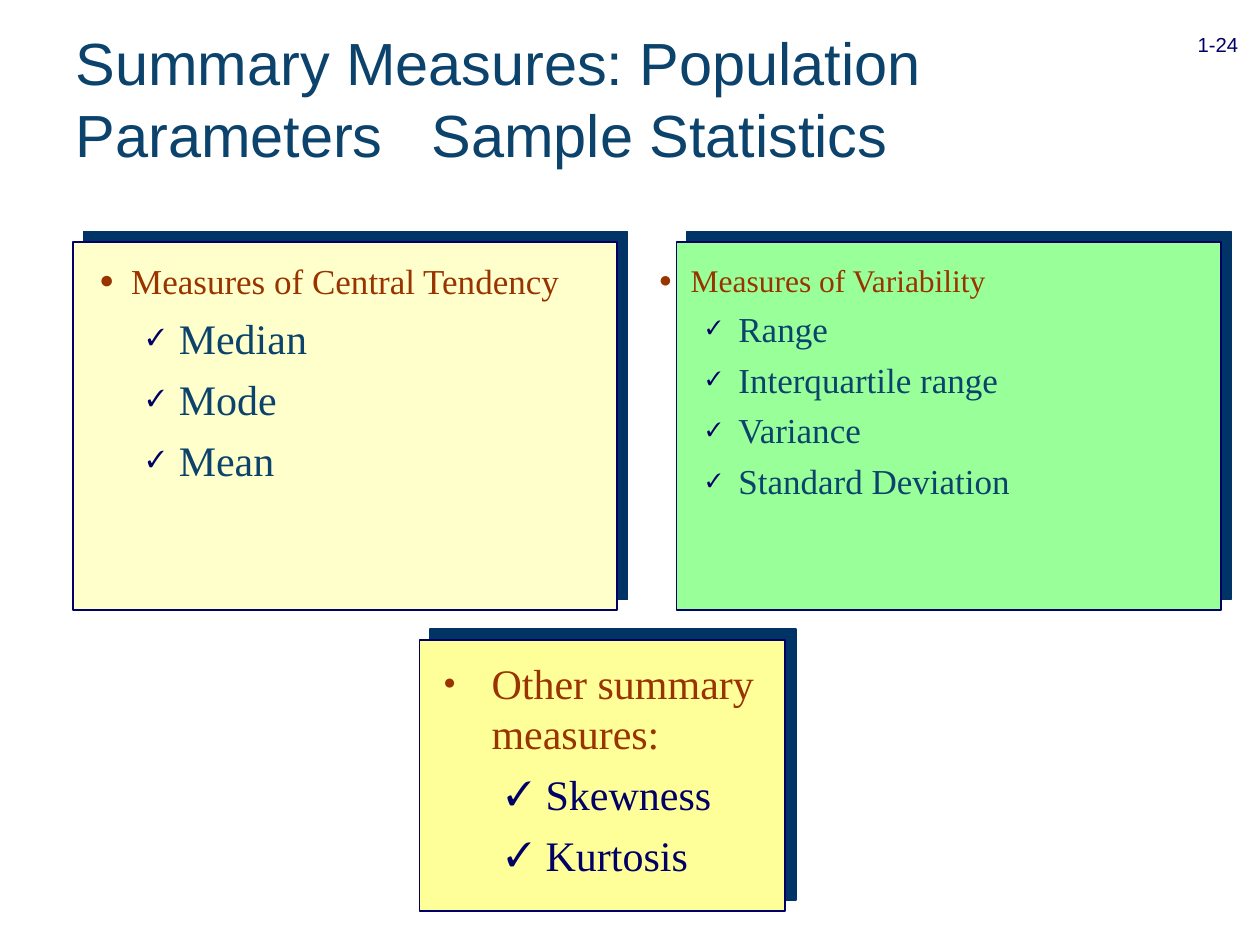
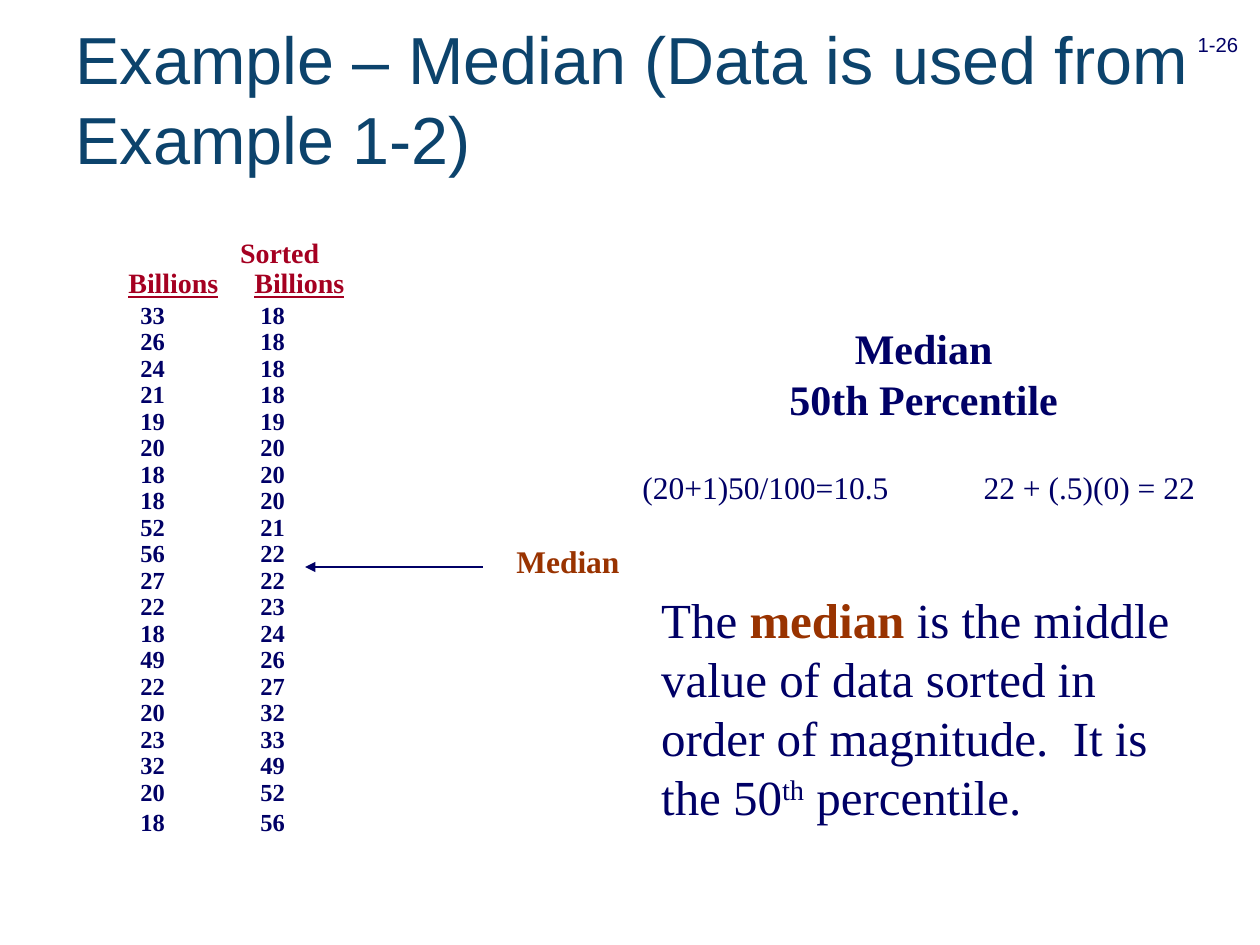
from dataclasses import dataclass

from lxml import etree
from pptx import Presentation
from pptx.dml.color import RGBColor as RGB
from pptx.enum.shapes import MSO_CONNECTOR as CONNECTOR, MSO_SHAPE as SHAPE
from pptx.enum.text import MSO_ANCHOR as ANCHOR, MSO_AUTO_SIZE as AUTO_SIZE, PP_ALIGN as ALIGN
from pptx.oxml.ns import qn
from pptx.util import Cm, Pt


@dataclass(frozen=True)
class Theme:
    sans: str = "Arial"
    serif: str = "Times New Roman"
    navy: str = "000066"
    teal: str = "0C436C"
    rust: str = "993300"
    crimson: str = "A50021"
    shadow: str = "003366"
    cream: str = "FFFFCC"
    green: str = "99FF99"
    yellow: str = "FFFF99"
    white: str = "FFFFFF"
    summary_title_size: int = 34
    example_title_size: int = 38
    page_size: int = 20
    definition_size: int = 28
    large: int = 24
    medium: int = 20
    small: int = 18
    header_size: int = 16
    data_size: int = 14


theme = Theme()


def style(paragraph, size, color, font=theme.serif, bold=False):
    """Format every run of the paragraph."""
    for run in paragraph.runs:
        run.font.size = Pt(size)
        run.font.name = font
        run.font.bold = bold
        run.font.color.rgb = RGB.from_string(color)


def add_text(slide, box, text, size, color, font=theme.serif, bold=False,
             align=ALIGN.LEFT, wrap=False):
    """Add a text box that grows with its text, and return it."""
    text_box = slide.shapes.add_textbox(*map(Cm, box))
    frame = text_box.text_frame
    frame.text = text
    frame.word_wrap = wrap
    frame.auto_size = AUTO_SIZE.SHAPE_TO_FIT_TEXT
    for paragraph in frame.paragraphs:
        paragraph.alignment = align
        style(paragraph, size, color, font, bold)
    return text_box


deck = Presentation()
deck.slide_width, deck.slide_height = Cm(25.4), Cm(19.05)
summary = deck.slides.add_slide(deck.slide_layouts[3])
example = deck.slides.add_slide(deck.slide_layouts[5])

# Titles and page numbers
for slide, heading, size, page in [
    (summary, "Summary Measures: Population Parameters\tSample Statistics",
     theme.summary_title_size, "1-24"),
    (example, "Example – Median (Data is used from Example 1-2)",
     theme.example_title_size, "1-26"),
]:
    title = slide.shapes.title
    title.left, title.top, title.width, title.height = map(Cm, (1.27, 0.38, 23.55, 3.18))
    frame = title.text_frame
    frame.text = heading
    frame.vertical_anchor = ANCHOR.MIDDLE
    frame.auto_size = AUTO_SIZE.NONE
    frame.paragraphs[0].alignment = ALIGN.LEFT
    style(frame.paragraphs[0], size, theme.teal, theme.sans)

    number = add_text(slide, (23.6, 0.05, 1.91, 1.22), page, theme.page_size, theme.navy,
                      theme.sans, align=ALIGN.CENTER, wrap=True)
    number.text_frame.paragraphs[0].runs[0].font._element.set("baseline", "-25000")

# The gap inside the first title
title_props = summary.shapes.title.text_frame.paragraphs[0]._p.get_or_add_pPr()
title_tabs = etree.SubElement(title_props, qn("a:tabLst"))
etree.SubElement(title_tabs, qn("a:tab"), pos=str(Cm(7.18)), algn="l")

# Summary measures: a shadowed panel behind each list
central_list, variability_list = list(summary.placeholders)[1:3]
other_list = summary.shapes.add_textbox(0, 0, 0, 0)
wide_indents = ((0.64, 0.64), (1.6, 0.64))
narrow_indents = ((0.97, 0.97), (2.06, 0.79))
measures = [
    (central_list, (1.75, 5.11, 10.36, 6.35), (1.47, 4.88, 10.97, 7.42), theme.cream,
     "Measures of Central Tendency", ["Median", "Mode", "Mean"],
     (theme.medium, theme.large), (theme.rust, theme.teal), wide_indents, (70, 55), 6),
    (variability_list, (13.03, 5.13, 11.43, 6.35), (13.64, 4.88, 10.97, 7.42), theme.green,
     "Measures of Variability",
     ["Range", "Interquartile range", "Variance", "Standard Deviation"],
     (theme.small, theme.medium), (theme.rust, theme.teal), wide_indents, (70, 55), 5),
    (other_list, (8.69, 13.13, 6.99, 4.88), (8.46, 12.9, 7.37, 5.46), theme.yellow,
     "Other summary measures:", ["Skewness", "Kurtosis"],
     (theme.large, theme.large), (theme.rust, theme.navy), narrow_indents, (50, 80), 6),
]
for (holder, text_place, panel_place, fill, heading, items,
     sizes, colors, indents, bullet_sizes, gap) in measures:
    panel = summary.shapes.add_shape(SHAPE.RECTANGLE, *map(Cm, panel_place))
    panel.fill.solid()
    panel.fill.fore_color.rgb = RGB.from_string(fill)
    panel.line.color.rgb = RGB.from_string(theme.navy)
    panel.line.width = Pt(1)
    panel.shadow.inherit = False
    effects = panel._element.spPr.find(qn("a:effectLst"))
    shadow = etree.SubElement(effects, qn("a:outerShdw"), dist=str(Pt(8.5)),
                              dir="18900000", algn="ctr", rotWithShape="0")
    etree.SubElement(shadow, qn("a:srgbClr"), val=theme.shadow)
    summary.shapes._spTree.insert(2, panel._element)

    holder.left, holder.top, holder.width, holder.height = map(Cm, text_place)
    frame = holder.text_frame
    frame.text = "\n".join([heading, *items])
    frame.word_wrap = True
    frame.auto_size = AUTO_SIZE.NONE
    for index, paragraph in enumerate(frame.paragraphs):
        level = min(index, 1)
        paragraph.level = level
        paragraph.space_before = Pt(gap * level)
        margin, hanging = indents[level]
        props = paragraph._p.get_or_add_pPr()
        props.set("marL", str(Cm(margin)))
        props.set("indent", str(-Cm(hanging)))
        bullet_color = etree.SubElement(props, qn("a:buClr"))
        etree.SubElement(bullet_color, qn("a:srgbClr"), val=(theme.rust, theme.navy)[level])
        etree.SubElement(props, qn("a:buSzPct"), val=str(bullet_sizes[level] * 1000))
        etree.SubElement(props, qn("a:buFont"), typeface=theme.serif)
        etree.SubElement(props, qn("a:buChar"), char="●✓"[level])
        style(paragraph, sizes[level], colors[level])

# Median example: raw and sorted data in two tabbed columns
billions = [33, 26, 24, 21, 19, 20, 18, 18, 52, 56, 27, 22, 18, 49, 22, 20, 23, 32, 20, 18]
rows = ["\tSorted", "Billions\tBillions"]
rows += [f"\t{raw}\t{ranked}" for raw, ranked in zip(billions, sorted(billions))]
data = add_text(example, (2.34, 4.7, 5.72, 12.83), "\n".join(rows),
                theme.data_size, theme.navy, bold=True, wrap=True)
data.fill.solid()
data.fill.fore_color.rgb = RGB.from_string(theme.white)
data_rows = data.text_frame.paragraphs
for index, paragraph in enumerate(data_rows):
    paragraph.line_spacing = 0.9
    stops = [(2.25,), (2.54,)][index] if index < 2 else (0.24, 2.66)
    tabs = etree.SubElement(paragraph._p.get_or_add_pPr(), qn("a:tabLst"))
    for stop in stops:
        etree.SubElement(tabs, qn("a:tab"), pos=str(Cm(stop)), algn="l")
for paragraph in data_rows[:2]:
    style(paragraph, theme.header_size, theme.crimson, bold=True)
for run in data_rows[1].runs:
    run.font.underline = True
for paragraph in (data_rows[2], data_rows[-1]):
    paragraph.space_before = Pt(2)

arrow = example.shapes.add_connector(CONNECTOR.STRAIGHT, Cm(6.15), Cm(11.43), Cm(9.73), Cm(11.43))
arrow.line.color.rgb = RGB.from_string(theme.navy)
arrow.line.width = Pt(0.75)
etree.SubElement(arrow.line._get_or_add_ln(), qn("a:headEnd"), type="triangle")
etree.SubElement(arrow._element.spPr, qn("a:effectLst"))

# Position, result and definition of the median
add_text(example, (10.16, 10.8, 2.59, 1.02), "Median", theme.small, theme.rust, bold=True)
add_text(example, (15.65, 6.38, 5.94, 2.29), "Median\n50th Percentile",
         theme.large, theme.navy, bold=True, align=ALIGN.CENTER)
add_text(example, (12.7, 9.32, 5.6, 1.02), "(20+1)50/100=10.5", theme.small, theme.navy)
result = add_text(example, (19.58, 9.32, 4.9, 1.02), "22 + (.5)(0) = 22",
                  theme.small, theme.navy)
result.fill.solid()
result.fill.fore_color.rgb = RGB.from_string(theme.white)

definition = add_text(example, (13.08, 11.76, 11.46, 4.98), "The ",
                      theme.definition_size, theme.navy, wrap=True)
sentence = definition.text_frame.paragraphs[0]
for part in ("median", " is the middle value of data sorted in order of magnitude.  It is the 50",
             "th", " percentile."):
    sentence.add_run().text = part
style(sentence, theme.definition_size, theme.navy)
term, ordinal = sentence.runs[1], sentence.runs[3]
term.font.bold = True
term.font.color.rgb = RGB.from_string(theme.rust)
ordinal.font._element.set("baseline", "30000")

deck.save("out.pptx")
